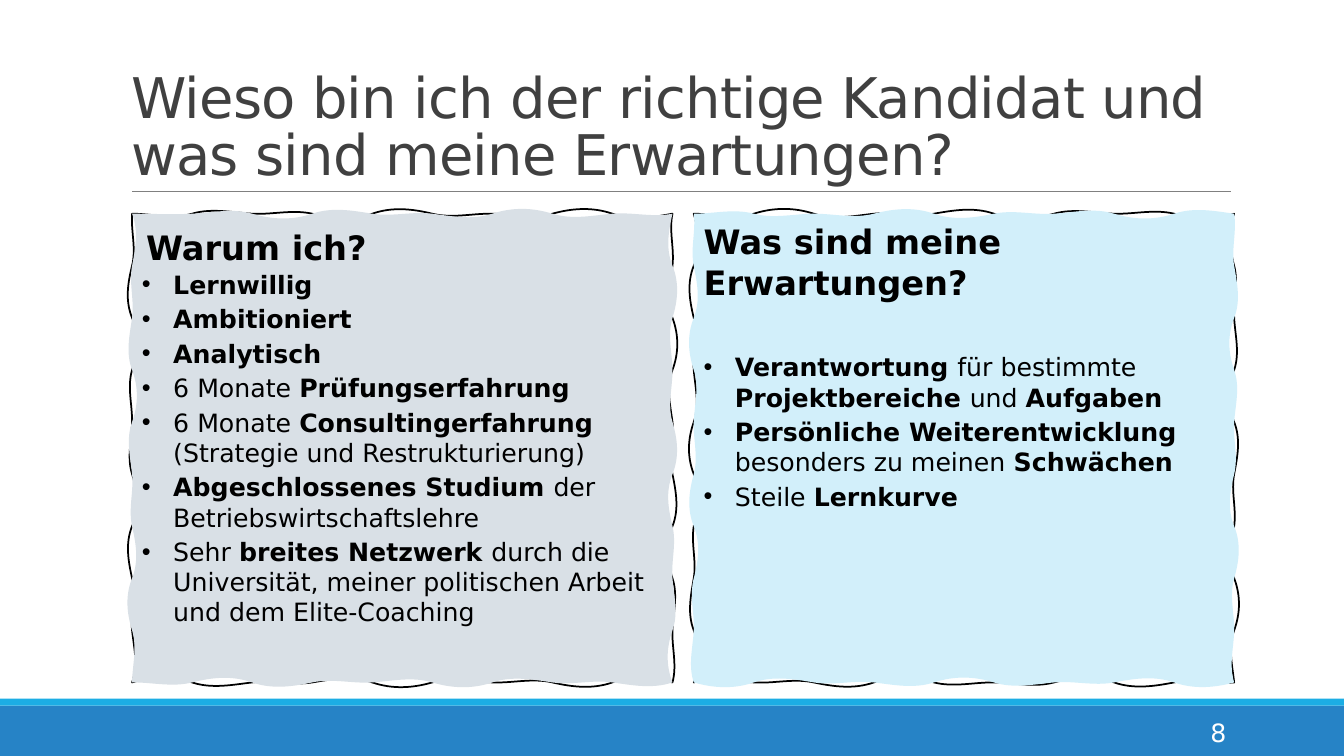
from copy import deepcopy
from math import sin

from lxml import etree
from pptx import Presentation
from pptx import util as u
from pptx.dml.color import RGBColor
from pptx.enum import shapes, text
from pptx.oxml.ns import qn

WIDTH, HEIGHT = u.Inches(13.33), u.Inches(7.5)
FONT = "DejaVu Sans"

# Panel grid, in percent of the slide's size
PANEL_LEFT, PANEL_STEP, PANEL_WIDTH = 9.83, 41.79, 40.21
PANEL_TOP, PANEL_HEIGHT = 28.27, 62
WAVE = u.Inches(0.07)
CURVES_PER_EDGE = 9

# Bullets: each item is a list of (words, bold) runs
REASONS = [
    [("Lernwillig", True)],
    [("Ambitioniert", True)],
    [("Analytisch", True)],
    [("6 Monate ", False), ("Prüfungserfahrung", True)],
    [("6 Monate ", False), ("Consultingerfahrung ", True),
     ("(Strategie und Restrukturierung)", False)],
    [("Abgeschlossenes Studium ", True), ("der Betriebswirtschaftslehre", False)],
    [("Sehr ", False), ("breites Netzwerk ", True),
     ("durch die Universität, meiner politischen Arbeit und dem Elite-Coaching", False)],
]
EXPECTATIONS = [
    [("Verantwortung ", True), ("für bestimmte ", False), ("Projektbereiche ", True),
     ("und ", False), ("Aufgaben", True)],
    [("Persönliche Weiterentwicklung ", True), ("besonders zu meinen ", False),
     ("Schwächen", True)],
    [("Steile ", False), ("Lernkurve", True)],
]


def color(value):
    return RGBColor.from_string(value)


def place(left, top, width, height):
    """Turn percent of the slide into lengths."""
    return [round(share * side / 100)
            for share, side in zip((left, top, width, height), (WIDTH, HEIGHT) * 2)]


def apply(target, formats):
    for name, value in formats.items():
        setattr(target, name, value)


def add_run(paragraph, words, size, ink="000000", bold=False):
    run = paragraph.add_run()
    run.text = words
    apply(run.font, {"name": FONT, "size": u.Pt(size), "bold": bold})
    run.font.color.rgb = color(ink)
    return run


def add_label(slide, box, words, size, anchor=text.MSO_ANCHOR.TOP,
              align=text.PP_ALIGN.LEFT, spacing=1.0, **style):
    frame = slide.shapes.add_textbox(*place(*box)).text_frame
    apply(frame, {"word_wrap": True, "vertical_anchor": anchor})
    paragraph = frame.paragraphs[0]
    apply(paragraph, {"alignment": align, "line_spacing": spacing})
    return add_run(paragraph, words, size, **style)


def add_band(slide, box, fill):
    band = slide.shapes.add_shape(shapes.MSO_SHAPE.RECTANGLE, *place(*box))
    band.shadow.inherit = False
    band.fill.solid()
    band.fill.fore_color.rgb = color(fill)
    band.line.fill.background()


def add_rule(slide, left, right, y):
    start_x, start_y, end_x, end_y = place(left, y, right, y)
    rule = slide.shapes.add_connector(
        shapes.MSO_CONNECTOR.STRAIGHT, start_x, start_y, end_x, end_y)
    rule.line.color.rgb = color("808080")
    rule.line.width = u.Pt(0.5)
    etree.SubElement(rule._element.spPr, qn("a:effectLst"))


def bend(outline, seed):
    """Turn the straight pieces of an outline into smooth waves."""
    start = outline.find(qn("a:moveTo"))[0]
    x, y = int(start.get("x")), int(start.get("y"))
    swing = 0
    for index, piece in enumerate(outline.findall(qn("a:lnTo"))):
        end_x, end_y = int(piece[0].get("x")), int(piece[0].get("y"))
        across = y == end_y
        # Each curve leaves in the direction in which the last one arrived
        leave, swing = -swing, round(WAVE * sin(seed + 2.3 * index))
        curve = etree.Element(qn("a:cubicBezTo"))
        for share, offset in ((1 / 3, leave), (2 / 3, swing), (1, 0)):
            point = etree.SubElement(curve, qn("a:pt"))
            point.set("x", str(round(x + (end_x - x) * share) + offset * (not across)))
            point.set("y", str(round(y + (end_y - y) * share) + offset * across))
        outline.replace(piece, curve)
        x, y = end_x, end_y


def add_sketched_box(slide, box, seed):
    """Rectangle with a wavy ink line and a separately waving fill."""
    left, top, width, height = place(*box)
    corners = [(left, top), (left + width, top),
               (left + width, top + height), (left, top + height)]
    points = [(round(x + (next_x - x) * step / CURVES_PER_EDGE),
               round(y + (next_y - y) * step / CURVES_PER_EDGE))
              for (x, y), (next_x, next_y) in zip(corners, corners[1:] + corners[:1])
              for step in range(CURVES_PER_EDGE)]
    builder = slide.shapes.build_freeform(*points[0])
    builder.add_line_segments(points[1:] + points[:1], close=True)
    sketch = builder.convert_to_shape()
    ink = next(sketch._element.iter(qn("a:path")))
    area = deepcopy(ink)
    ink.addnext(area)
    ink.set("fill", "none")
    area.set("stroke", "0")
    bend(ink, seed)
    bend(area, seed + 2)
    return sketch


def add_bullets(frame, items):
    for index, runs in enumerate(items):
        paragraph = frame.add_paragraph() if index else frame.paragraphs[0]
        properties = paragraph._p.get_or_add_pPr()
        properties.set("marL", str(u.Inches(0.31)))
        properties.set("indent", str(-u.Inches(0.31)))
        etree.SubElement(properties, qn("a:buFont")).set("typeface", "Arial")
        etree.SubElement(properties, qn("a:buChar")).set("char", "•")
        apply(paragraph, {"alignment": text.PP_ALIGN.LEFT, "space_after": u.Pt(3)})
        for words, bold in runs:
            add_run(paragraph, words, 18, bold=bold)


def add_panel(slide, column, fill, items, room_below=0):
    box = (PANEL_LEFT + column * PANEL_STEP, PANEL_TOP, PANEL_WIDTH, PANEL_HEIGHT)
    panel = add_sketched_box(slide, box, 1 + column)
    panel.shadow.inherit = False
    panel.fill.solid()
    panel.fill.fore_color.rgb = color(fill)
    panel.line.color.rgb = color("000000")
    panel.line.width = u.Pt(1.25)
    apply(panel.text_frame, {
        "word_wrap": True, "vertical_anchor": text.MSO_ANCHOR.MIDDLE,
        "margin_bottom": u.Inches(0.05 + room_below)})
    add_bullets(panel.text_frame, items)


def main():
    presentation = Presentation()
    apply(presentation, {"slide_width": WIDTH, "slide_height": HEIGHT})
    slide = presentation.slides.add_slide(presentation.slide_layouts[6])

    # Footer bands and title
    add_band(slide, (0, 93.33, 100, 6.67), "2683C6")
    add_band(slide, (0, 92.4, 100, 0.93), "1CADE4")
    add_rule(slide, PANEL_LEFT, 91.56, 25.33)
    title = add_label(
        slide, (9.03, 4.13, 82.52, 21.2),
        "Wieso bin ich der richtige Kandidat und was sind meine Erwartungen?",
        40, anchor=text.MSO_ANCHOR.BOTTOM, spacing=0.85, ink="404040")
    title.font._element.set("spc", "-50")
    add_label(slide, (81.25, 94.2, 10.73, 5.33), "8", 18, ink="FFFFFF",
              anchor=text.MSO_ANCHOR.MIDDLE, align=text.PP_ALIGN.RIGHT)

    # Panels and their headings
    add_panel(slide, 0, "D9E0E6", REASONS)
    add_panel(slide, 1, "D2EFFA", EXPECTATIONS, room_below=0.33)
    add_label(slide, (10.13, 29.35, 23.63, 6.8), "Warum ich?", 24, bold=True)
    add_label(slide, (PANEL_LEFT + PANEL_STEP, 28.6, PANEL_WIDTH, 12.13),
              "Was sind meine Erwartungen?", 24, bold=True)

    presentation.save("out.pptx")


if __name__ == "__main__":
    main()
